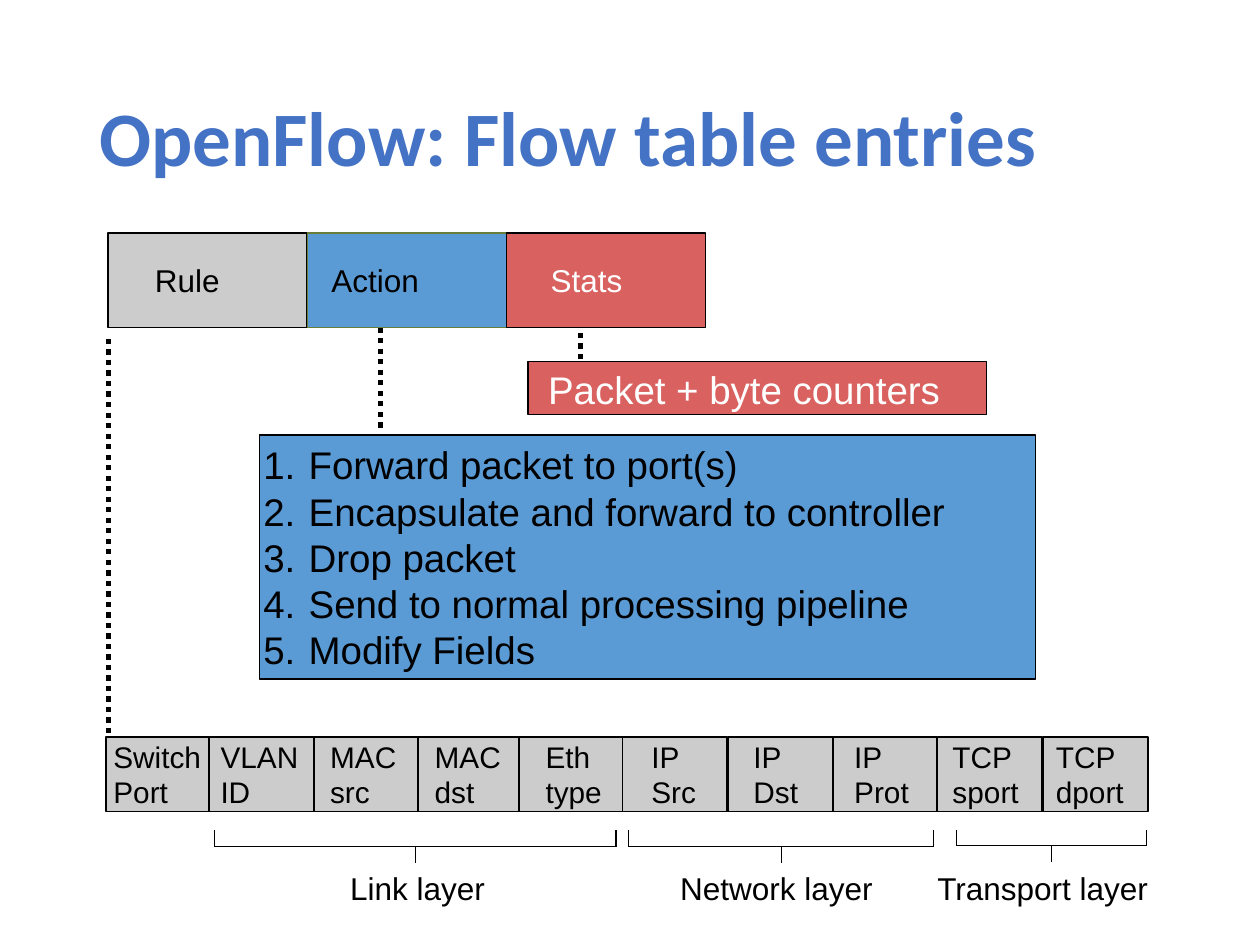
from lxml import etree
from pptx import Presentation
from pptx.dml.color import RGBColor
from pptx.enum import dml, shapes, text
from pptx.oxml.ns import qn
from pptx.util import Inches, Pt

THEME = {
    "title": "4472C4", "ink": "000000", "light": "FFFFFF",
    "rule": "CCCCCC", "action": "5B9BD5", "action_edge": "697D3A", "stats": "D9615F",
    "body_font": "Arial", "title_font": "Calibri",
    "title_size": 44, "list_size": 22, "label_size": 18, "field_size": 17,
}

prs = Presentation()
prs.slide_width, prs.slide_height = Inches(10), Inches(7.5)
slide = prs.slides.add_slide(prs.slide_layouts[6])


def add_box(x, y, w, h, words="", size="label_size", color="ink", fill=None,
            edge="ink", wrap=False, inset=0):
    """Add a filled rectangle, or a plain text box when there is no fill."""
    at = [Inches(v) for v in (x, y, w, h)]
    if fill:
        sp = slide.shapes.add_shape(shapes.MSO_SHAPE.RECTANGLE, *at)
        sp.shadow.inherit = False
        sp.fill.solid()
        sp.fill.fore_color.rgb = RGBColor.from_string(THEME[fill])
        sp.line.color.rgb = RGBColor.from_string(THEME[edge])
        sp.line.width = Pt(1)
    else:
        sp = slide.shapes.add_textbox(*at)
    if not words:
        return sp
    tf = sp.text_frame
    tf.text = words
    tf.word_wrap = wrap
    tf.vertical_anchor = text.MSO_ANCHOR.MIDDLE
    tf.margin_left = tf.margin_right = Inches(inset)
    tf.margin_top = tf.margin_bottom = Inches(inset / 2)
    for p in tf.paragraphs:
        p.alignment = text.PP_ALIGN.LEFT
        for r in p.runs:
            r.font.name = THEME["body_font"]
            r.font.size = Pt(THEME[size])
            r.font.color.rgb = RGBColor.from_string(THEME[color])
    return sp


def add_line(parent, x1, y1, x2, y2, width=0.75, dash=None):
    sp = parent.shapes.add_connector(shapes.MSO_CONNECTOR.STRAIGHT,
                                     Inches(x1), Inches(y1), Inches(x2), Inches(y2))
    sp.line.color.rgb = RGBColor.from_string(THEME["ink"])
    sp.line.width = Pt(width)
    if dash:
        sp.line.dash_style = dash
    etree.SubElement(sp._element.spPr, qn("a:effectLst"))


# Title
title = add_box(0.69, 0.4, 8.62, 1.45, "OpenFlow: Flow table entries",
                "title_size", "title", wrap=True, inset=0.1)
p = title.text_frame.paragraphs[0]
p.line_spacing = 0.9
p.runs[0].font.name = THEME["title_font"]
p.runs[0].font.bold = True

# Parts of a flow entry
entry_parts = [
    ("Rule", "rule", "ink", "ink", 1.23, 0.55),
    ("Action", "action", "action_edge", "ink", 2.63, 0.79),
    ("Stats", "stats", "ink", "light", 4.37, 0.62),
]
for i, (name, fill, edge, color, x, w) in enumerate(entry_parts):
    add_box(0.86 + i * 1.58, 1.85, 1.58, 0.75, fill=fill, edge=edge)
    add_box(x, 2.07, w, 0.3, name, color=color)

# Dotted lines from each part to its details
for x, top, bottom in [(0.86, 2.69, 5.85), (3.02, 2.6, 3.43), (4.61, 2.85, 2.6)]:
    add_line(slide, x, top, x, bottom, 3, dml.MSO_LINE.ROUND_DOT)

# Counters
add_box(4.19, 2.87, 3.64, 0.42, fill="stats")
add_box(4.35, 2.9, 3.38, 0.37, "Packet + byte counters", "list_size", "light")

# Numbered actions
actions = ["Forward packet to port(s)", "Encapsulate and forward to controller",
           "Drop packet", "Send to normal processing pipeline", "Modify Fields"]
action_list = add_box(2.06, 3.45, 6.16, 1.94, "\n".join(actions), "list_size",
                      fill="action", wrap=True)
for p in action_list.text_frame.paragraphs:
    pPr = p._p.get_or_add_pPr()
    pPr.set("marL", str(Inches(0.39)))
    pPr.set("indent", str(Inches(-0.36)))
    etree.SubElement(pPr, qn("a:buFont"), typeface=THEME["body_font"])
    etree.SubElement(pPr, qn("a:buAutoNum"), type="arabicPeriod")

# Header fields: cell left, text left, text width
fields = [
    ("Switch\nPort", 0.84, 0.9, 0.7), ("VLAN\nID", 1.66, 1.75, 0.65),
    ("MAC\nsrc", 2.49, 2.62, 0.54), ("MAC\ndst", 3.32, 3.45, 0.54),
    ("Eth\ntype", 4.12, 4.33, 0.45), ("IP\nSrc", 4.94, 5.17, 0.36),
    ("IP\nDst", 5.78, 5.98, 0.36), ("IP\nProt", 6.61, 6.78, 0.44),
    ("TCP\nsport", 7.44, 7.56, 0.53), ("TCP\ndport", 8.28, 8.38, 0.55),
]
for name, cell_x, text_x, w in fields:
    add_box(cell_x, 5.85, 0.83, 0.59, fill="rule")
    add_box(text_x, 5.86, w, 0.57, name, "field_size")

# Layer brackets: left, right, bar height, label left, label width
layers = [
    ("Link layer", 1.7, 4.89, 6.72, 2.68, 1.38),
    ("Network layer", 4.99, 7.41, 6.72, 5.3, 1.86),
    ("Transport layer", 7.59, 9.1, 6.71, 6.99, 2.57),
]
for name, left, right, bar, x, w in layers:
    bracket = slide.shapes.add_group_shape()
    middle = (left + right) / 2
    add_line(bracket, left, bar, right, bar)
    for tick in (left, right):
        add_line(bracket, tick, 6.59, tick, bar)
    add_line(bracket, middle, bar, middle, bar + 0.13)
    label = add_box(x, 6.85, w, 0.4, name, inset=0.1)
    if name == "Transport layer":
        label.text_frame.word_wrap = True
        label.text_frame.paragraphs[0].alignment = text.PP_ALIGN.CENTER

prs.save("out.pptx")
